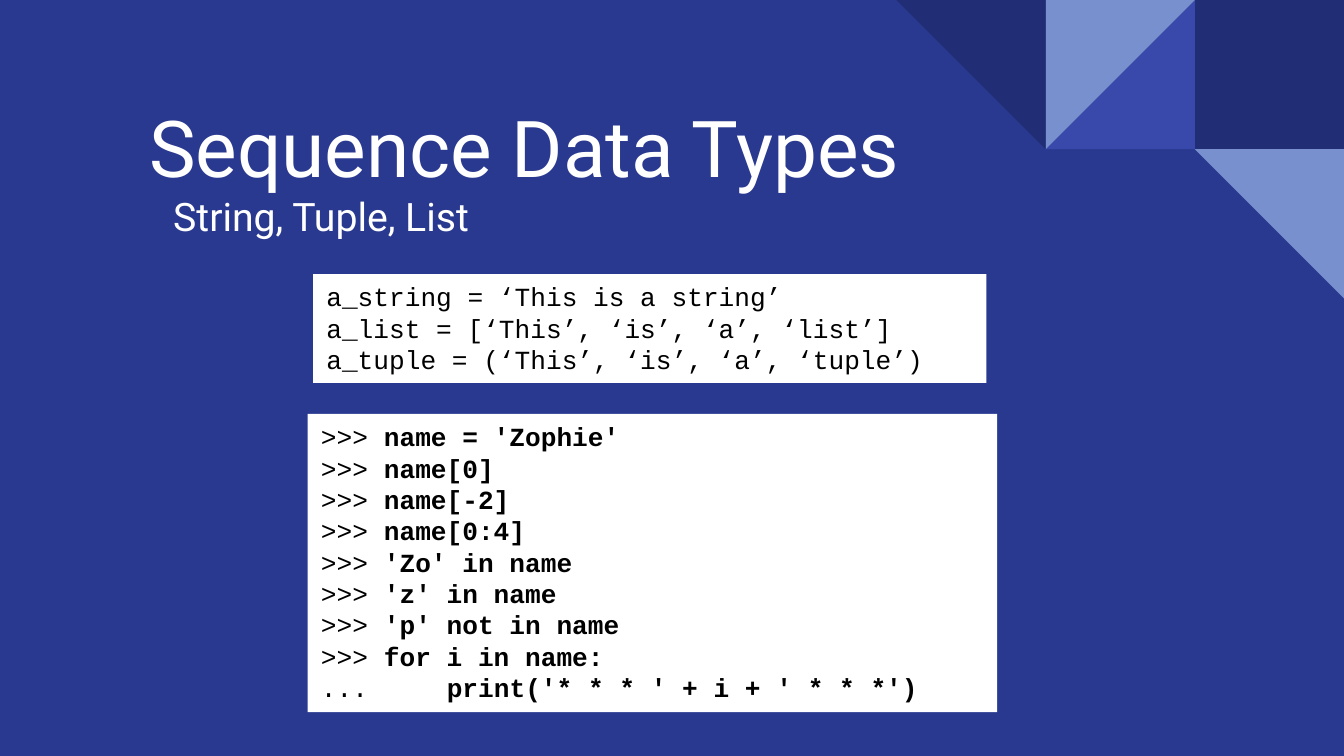
from pptx import Presentation
from pptx import util as u
from pptx.dml import color
from pptx.enum import shapes, text

COLORS = {
    "background": "2A3990",
    "navy": "212D74",
    "indigo": "3949AB",
    "sky": "7890CD",
    "white": "FFFFFF",
    "black": "000000",
}
PAGE_WIDTH = 10
PAGE_HEIGHT = PAGE_WIDTH * 9 / 16
TILE = 1.11
TILES = [
    (2, 0, "RECTANGLE", 0, "navy"),
    (1, 0, "RIGHT_TRIANGLE", 270, "indigo"),
    (1, 0, "RIGHT_TRIANGLE", 90, "sky"),
    (0, 0, "RIGHT_TRIANGLE", 180, "navy"),
    (2, 1, "RIGHT_TRIANGLE", 180, "sky"),
]
ASSIGNMENTS = [
    "a_string = ‘This is a string’",
    "a_list = [‘This’, ‘is’, ‘a’, ‘list’]",
    "a_tuple = (‘This’, ‘is’, ‘a’, ‘tuple’)",
]
SESSION = [
    (">>> ", "name = 'Zophie'"),
    (">>> ", "name[0]"),
    (">>> ", "name[-2]"),
    (">>> ", "name[0:4]"),
    (">>> ", "'Zo' in name"),
    (">>> ", "'z' in name"),
    (">>> ", "'p' not in name"),
    (">>> ", "for i in name:"),
    ("...     ", "print('* * * ' + i + ' * * *')"),
]


def rgb(name):
    return color.RGBColor.from_string(COLORS[name])


def add_span(para, words, font, size, shade, bold=False):
    span = para.add_run()
    span.text = words
    span.font.name = font
    span.font.size = u.Pt(size)
    span.font.bold = bold
    span.font.color.rgb = rgb(shade)


def set_frame(frame, inset, anchor):
    frame.word_wrap = True
    frame.auto_size = text.MSO_AUTO_SIZE.NONE
    frame.vertical_anchor = anchor
    frame.margin_left = frame.margin_right = u.Inches(0.1)
    frame.margin_top = frame.margin_bottom = u.Inches(inset)


def add_block(page, kind, left, top, width, height, shade):
    block = page.shapes.add_shape(
        getattr(shapes.MSO_SHAPE, kind),
        u.Inches(left), u.Inches(top), u.Inches(width), u.Inches(height),
    )
    block.shadow.inherit = False
    block.fill.solid()
    block.fill.fore_color.rgb = rgb(shade)
    block.line.fill.background()
    return block


def add_corner(page, left, top):
    for column, row, kind, turn, shade in TILES:
        tile = add_block(page, kind, left + column * TILE, top + row * TILE, TILE, TILE, shade)
        tile.rotation = turn


def add_heading(page, left, top, width):
    title = page.shapes.title
    title.left, title.top = u.Inches(left), u.Inches(top)
    title.width, title.height = u.Inches(width), u.Inches(0.92)
    set_frame(title.text_frame, 0.1, text.MSO_ANCHOR.BOTTOM)
    para = title.text_frame.paragraphs[0]
    para.alignment = text.PP_ALIGN.LEFT
    add_span(para, "Sequence Data Types", "Roboto", 42, "white")

    subtitle = page.shapes.add_textbox(
        u.Inches(left + 0.18), u.Inches(top + 0.71), u.Inches(width - 0.18), u.Inches(0.62)
    )
    set_frame(subtitle.text_frame, 0.1, text.MSO_ANCHOR.TOP)
    add_span(subtitle.text_frame.paragraphs[0], "String, Tuple, List", "Roboto", 21, "white")


def add_code_panel(page, left, top, width, height):
    panel = add_block(page, "RECTANGLE", left, top, width, height, "white")
    set_frame(panel.text_frame, 0.05, text.MSO_ANCHOR.TOP)
    return panel.text_frame


def add_assignments(page, left, top, width, height):
    frame = add_code_panel(page, left, top, width, height)
    for index, line in enumerate(ASSIGNMENTS):
        para = frame.add_paragraph() if index else frame.paragraphs[0]
        para.alignment = text.PP_ALIGN.LEFT
        add_span(para, line, "Courier New", 14, "black")


def add_session(page, left, top, width, height):
    para = add_code_panel(page, left, top, width, height).paragraphs[0]
    para.alignment = text.PP_ALIGN.LEFT
    for index, (prompt, code) in enumerate(SESSION):
        if index:
            para.add_line_break()
        add_span(para, prompt, "Courier New", 14, "black")
        add_span(para, code, "Courier New", 14, "black", bold=True)


def main():
    deck = Presentation()
    deck.slide_width, deck.slide_height = u.Inches(PAGE_WIDTH), u.Inches(PAGE_HEIGHT)
    page = deck.slides.add_slide(deck.slide_layouts.get_by_name("Title Only"))
    page.background.fill.solid()
    page.background.fill.fore_color.rgb = rgb("background")
    add_corner(page, PAGE_WIDTH - 3 * TILE, 0)
    add_heading(page, 1.01, 0.62, 8.99)
    add_session(page, 2.29, 3.08, 5.13, 2.22)
    add_assignments(page, 2.33, 2.04, 5.01, 0.81)
    deck.save("out.pptx")


if __name__ == "__main__":
    main()
